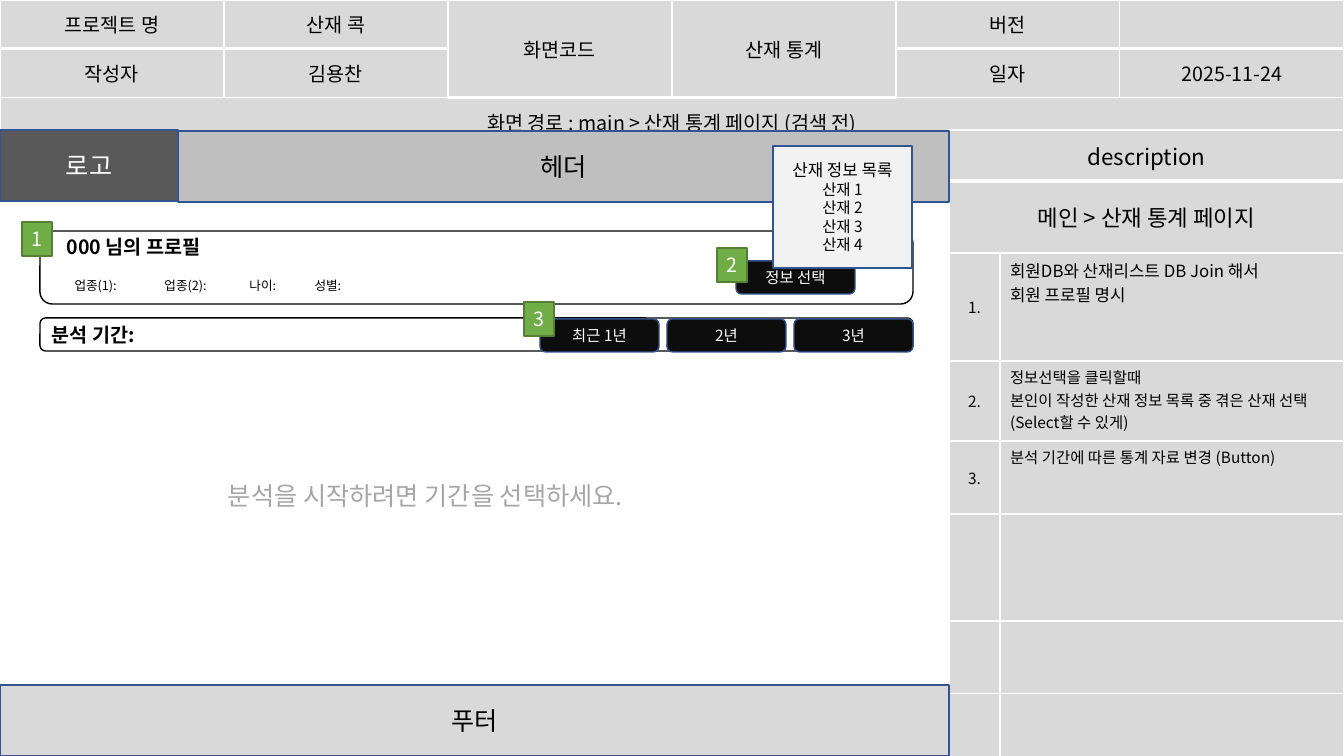
from lxml.etree import SubElement
from pptx import Presentation
from pptx.dml.color import RGBColor
from pptx.enum.shapes import MSO_SHAPE as Preset
from pptx.enum.text import MSO_ANCHOR as Anchor, PP_ALIGN as Align
from pptx.oxml.ns import qn
from pptx.util import Emu, Pt

FONT = "Noto Sans CJK KR"
BLACK, WHITE, GRAY = "000000", "FFFFFF", "D9D9D9"
NAVY, GREEN, DARK_GREEN, BUTTON = "325491", "70AD47", "538035", "0D0D0D"


def px(value):
    return Emu(round(value * 914400 / 100.8))


def color(value):
    return RGBColor.from_string(value)


class Wireframe:
    def __init__(self, presentation):
        self.slide = presentation.slides.add_slide(presentation.slide_layouts[6])

    def add_lines(self, frame, lines, size, ink=BLACK, align=Align.CENTER, bold=False):
        for index, line in enumerate(lines):
            paragraph = frame.paragraphs[0] if index == 0 else frame.add_paragraph()
            self.add_run(paragraph, line, size, ink, bold)
            paragraph.alignment = align

    def add_run(self, paragraph, text, size, ink=BLACK, bold=False):
        run = paragraph.add_run()
        run.text = text
        run.font.size = Pt(size)
        run.font.bold = bold
        run.font.color.rgb = color(ink)
        run.font.name = FONT
        SubElement(run._r.get_or_add_rPr(), qn("a:ea"), typeface=FONT)

    def box(self, bounds, fill, line, preset=Preset.RECTANGLE):
        shape = self.slide.shapes.add_shape(preset, *map(px, bounds))
        shape.shadow.inherit = False
        shape.fill.solid()
        shape.fill.fore_color.rgb = color(fill)
        shape.line.color.rgb = color(line)
        shape.line.width = Pt(1)
        shape.text_frame.word_wrap = True
        shape.text_frame.vertical_anchor = Anchor.MIDDLE
        return shape.text_frame

    def label(self, bounds, text, fill, ink=BLACK):
        self.add_lines(self.box(bounds, fill, NAVY), [text], 18, ink)

    def badge(self, left, top, number):
        frame = self.box((left, top, 30, 34), GREEN, DARK_GREEN)
        self.add_lines(frame, [str(number)], 14, WHITE)

    def button(self, left, top, text):
        frame = self.box((left, top, 119, 33), BUTTON, NAVY, Preset.ROUNDED_RECTANGLE)
        self.add_lines(frame, [text], 11, WHITE)

    def text(self, bounds, text, size, ink):
        frame = self.slide.shapes.add_textbox(*map(px, bounds)).text_frame
        frame.word_wrap = True
        self.add_lines(frame, [text], size, ink, Align.LEFT)

    def tab_stops(self, paragraph, positions):
        stops = SubElement(paragraph._p.get_or_add_pPr(), qn("a:tabLst"))
        for position in positions:
            SubElement(stops, qn("a:tab"), pos=str(px(position)), algn="l")

    def table(self, left, top, widths, heights):
        bounds = (left, top, sum(widths), sum(heights))
        table = self.slide.shapes.add_table(
            len(heights), len(widths), *map(px, bounds)).table
        for column, width in zip(table.columns, widths):
            column.width = px(width)
        for index, (row, height) in enumerate(zip(table.rows, heights)):
            row.height = px(height)
            for cell in row.cells:
                self.cell_style(cell, index == 0)
        return table

    def cell_style(self, cell, is_first_row):
        edges = {"lnL": 1, "lnR": 1}
        if is_first_row:
            edges["lnT"] = 1
        edges["lnB"] = 3 if is_first_row else 1
        properties = cell._tc.get_or_add_tcPr()
        for edge, width in edges.items():
            line = SubElement(properties, qn(f"a:{edge}"), w=str(Pt(width)))
            fill = SubElement(line, qn("a:solidFill"))
            SubElement(fill, qn("a:srgbClr"), val=WHITE)
        cell.fill.solid()
        cell.fill.fore_color.rgb = color(GRAY)


def add_project_table(wireframe):
    table = wireframe.table(0, 0, [224] * 6, [48, 49, 49])
    for column in (2, 3):
        table.cell(0, column).merge(table.cell(1, column))
    table.cell(2, 0).merge(table.cell(2, 5))
    rows = [
        ["프로젝트 명", "산재 콕", "화면코드", "산재 통계", "버전", ""],
        ["작성자", "김용찬", "", "", "일자", "2025-11-24"],
        ["화면 경로 : main > 산재 통계 페이지 (검색 전)"],
    ]
    for row, texts in enumerate(rows):
        for column, text in enumerate(texts):
            if text:
                cell = table.cell(row, column)
                cell.margin_top = cell.margin_bottom = px(10)
                if cell.is_merge_origin and row == 0:
                    cell.vertical_anchor = Anchor.MIDDLE
                wireframe.add_lines(cell.text_frame, [text], 14)


def add_description_table(wireframe):
    table = wireframe.table(949, 130, [51, 344], [51, 72, 108, 80, 73, 107, 73, 73])
    for row, text in enumerate(["description", "메인 > 산재 통계 페이지"]):
        cell = table.cell(row, 0)
        cell.merge(table.cell(row, 1))
        cell.vertical_anchor = Anchor.MIDDLE
        wireframe.add_lines(cell.text_frame, [text], 16)
    notes = [
        (12, ["회원DB와 산재리스트 DB Join 해서", "회원 프로필 명시"]),
        (11, ["정보선택을 클릭할때",
              "본인이 작성한 산재 정보 목록 중 겪은 산재 선택 (Select할 수 있게)"]),
        (11, ["분석 기간에 따른 통계 자료 변경 (Button)"]),
    ]
    for number, (size, lines) in enumerate(notes, 1):
        number_cell = table.cell(number + 1, 0)
        number_cell.vertical_anchor = Anchor.MIDDLE
        wireframe.add_lines(number_cell.text_frame, [f"{number}."], 11)
        note_frame = table.cell(number + 1, 1).text_frame
        wireframe.add_lines(note_frame, lines, size, align=Align.LEFT)


def add_profile(wireframe):
    frame = wireframe.box((40, 231, 873, 73), WHITE, BLACK, Preset.ROUNDED_RECTANGLE)
    frame.vertical_anchor = Anchor.TOP
    frame.margin_left = px(23)
    frame.margin_top = frame.margin_bottom = 0
    wireframe.add_lines(frame, ["000 님의 프로필"], 14, align=Align.LEFT, bold=True)
    fields = frame.add_paragraph()
    fields.alignment = Align.LEFT
    fields.space_before = Pt(14)
    wireframe.tab_stops(fields, [8, 98, 183, 248])
    for field in ("업종(1):", "업종(2):", "나이:", "성별:"):
        wireframe.add_run(fields, "\t" + field, 9)


def add_period(wireframe):
    frame = wireframe.box((40, 318, 873, 33), WHITE, BLACK, Preset.ROUNDED_RECTANGLE)
    wireframe.add_lines(frame, ["분석 기간:"], 14, align=Align.LEFT, bold=True)
    for index, text in enumerate(["최근 1년", "2년", "3년"]):
        wireframe.button(540 + 127 * index, 319, text)


def main():
    presentation = Presentation()
    presentation.slide_width = px(1344)
    presentation.slide_height = px(756)
    wireframe = Wireframe(presentation)
    add_project_table(wireframe)
    add_description_table(wireframe)
    wireframe.label((178, 131, 771, 71), "헤더", "BFBFBF")
    wireframe.label((0, 130, 178, 71), "로고", "595959", WHITE)
    add_profile(wireframe)
    wireframe.badge(22, 222, 1)
    add_period(wireframe)
    wireframe.badge(524, 302, 3)
    wireframe.label((0, 685, 949, 71), "푸터", GRAY)
    wireframe.text((218, 475, 455, 40), "분석을 시작하려면 기간을 선택하세요.", 18, "A6A6A6")
    wireframe.button(736, 261, "정보 선택")
    wireframe.badge(717, 248, 2)
    injuries = wireframe.box((773, 146, 139, 122), "F2F2F2", NAVY)
    wireframe.add_lines(injuries, ["산재 정보 목록"], 12)
    for number in range(1, 5):
        paragraph = injuries.add_paragraph()
        paragraph.alignment = Align.CENTER
        wireframe.add_run(paragraph, f"산재 {number}", 11)
    presentation.save("out.pptx")


if __name__ == "__main__":
    main()
